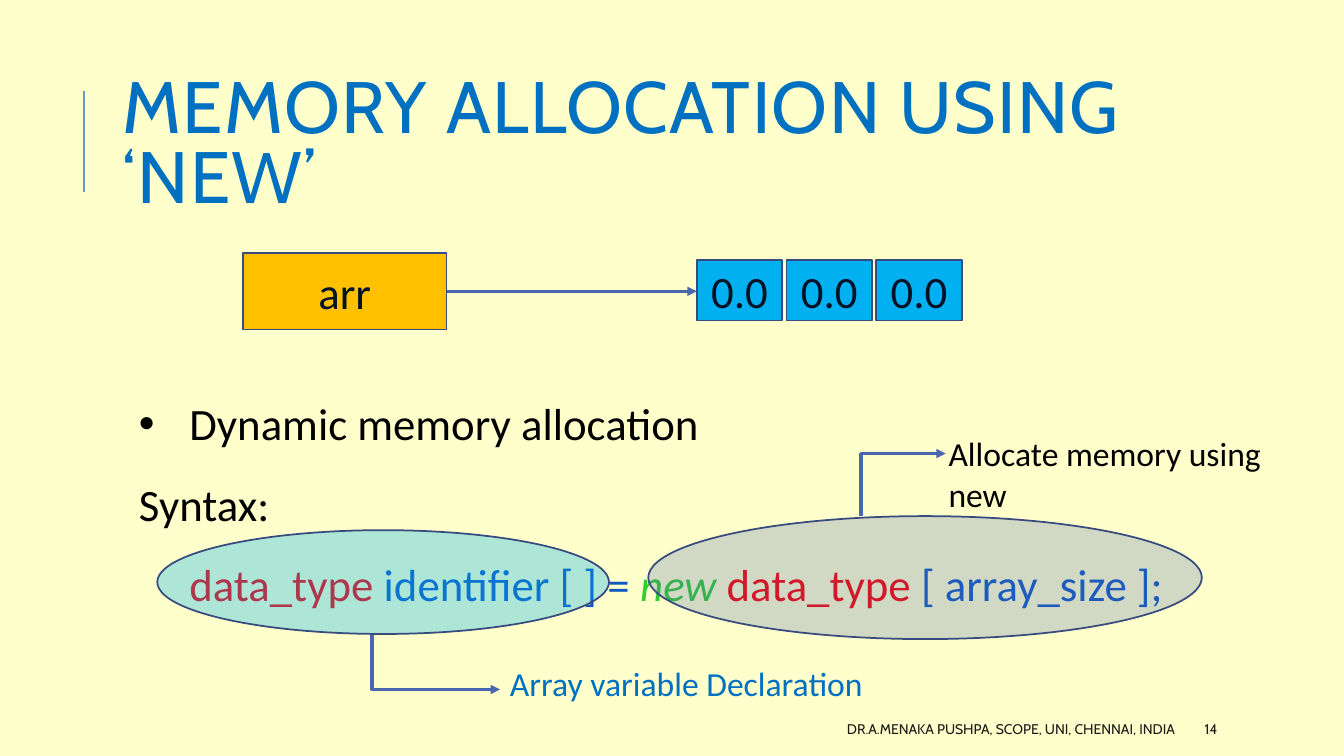
from lxml import etree
from pptx import Presentation
from pptx.dml.color import RGBColor
from pptx.enum.shapes import MSO_CONNECTOR, MSO_SHAPE
from pptx.enum.text import MSO_ANCHOR, PP_ALIGN
from pptx.oxml.ns import qn
from pptx.util import Inches, Pt

RECT, OVAL = MSO_SHAPE.RECTANGLE, MSO_SHAPE.OVAL
STRAIGHT, ELBOW = MSO_CONNECTOR.STRAIGHT, MSO_CONNECTOR.ELBOW
TOP, MIDDLE = MSO_ANCHOR.TOP, MSO_ANCHOR.MIDDLE
LEFT, CENTER, RIGHT = PP_ALIGN.LEFT, PP_ALIGN.CENTER, PP_ALIGN.RIGHT


def rgb(value):
    return RGBColor.from_string(value)


class SlideBuilder:
    heading_font, body_font = "Cabin", "Calibri"
    black, blue, code_blue = "000000", "0070C0", "0E58C4"
    red, green, footer_ink = "FF0000", "33CC33", "1A1A1A"
    amber, sky, indigo = "FFC000", "00B0F0", "4A66AC"
    outline, box_ink, rule = "374B7F", "031227", "629DD1"

    def __init__(self, prs, background):
        self.slide = prs.slides.add_slide(prs.slide_layouts[6])
        fill = self.slide.background.fill
        fill.solid()
        fill.fore_color.rgb = rgb(background)

    def style(self, run, size, color, font=None, italic=False):
        run.font.size = Pt(size)
        run.font.name = font or self.body_font
        run.font.color.rgb = rgb(color)
        run.font.italic = italic

    def text(self, box, content, size, color, font=None, align=LEFT, anchor=TOP):
        """Add a wrapped text box holding one paragraph and return its paragraph."""
        frame = self.slide.shapes.add_textbox(*map(Inches, box)).text_frame
        frame.word_wrap = True
        frame.vertical_anchor = anchor
        paragraph = frame.paragraphs[0]
        paragraph.text = content
        paragraph.alignment = align
        self.style(paragraph.runs[0], size, color, font)
        return paragraph

    def body(self, box, lines, size):
        """Add paragraphs given as (left margin, bullet, coloured pieces)."""
        frame = self.slide.shapes.add_textbox(*map(Inches, box)).text_frame
        frame.word_wrap = True
        for index, (margin, bullet, pieces) in enumerate(lines):
            paragraph = frame.add_paragraph() if index else frame.paragraphs[0]
            paragraph.line_spacing = 1.5
            props = paragraph._p.get_or_add_pPr()
            props.set("marL", str(Inches(margin)))
            if bullet:
                props.set("indent", str(-Inches(margin)))
                etree.SubElement(props, qn("a:buFont")).set("typeface", "Arial")
                etree.SubElement(props, qn("a:buChar")).set("char", bullet)
            for content, color, italic in pieces:
                run = paragraph.add_run()
                run.text = content
                self.style(run, size, color, italic=italic)

    def shape(self, kind, box, fill, label="", opacity=100):
        shape = self.slide.shapes.add_shape(kind, *map(Inches, box))
        shape.shadow.inherit = False
        shape.fill.solid()
        shape.fill.fore_color.rgb = rgb(fill)
        shape.line.color.rgb = rgb(self.outline)
        shape.line.width = Pt(1.25)
        if opacity < 100:
            color = shape._element.spPr.find(qn("a:solidFill"))[0]
            etree.SubElement(color, qn("a:alpha")).set("val", str(opacity * 1000))
        if label:
            frame = shape.text_frame
            frame.text = label
            frame.vertical_anchor = MIDDLE
            frame.paragraphs[0].alignment = CENTER
            self.style(frame.paragraphs[0].runs[0], 32, self.box_ink)
        return shape

    def line(self, start, end, color, width, kind=STRAIGHT, arrow=True):
        line = self.slide.shapes.add_connector(kind, *map(Inches, start + end))
        line.line.color.rgb = rgb(color)
        line.line.width = Pt(width)
        props = line._element.spPr
        if arrow:
            etree.SubElement(line.line._get_or_add_ln(), qn("a:tailEnd")).set("type", "triangle")
        if kind == ELBOW:
            # Bend at the start: vertical first, then horizontal
            geometry = props.find(qn("a:prstGeom"))
            adjustments = geometry.find(qn("a:avLst"))
            if adjustments is None:
                adjustments = etree.SubElement(geometry, qn("a:avLst"))
            guide = etree.SubElement(adjustments, qn("a:gd"))
            guide.set("name", "adj1")
            guide.set("fmla", "val 0")
        etree.SubElement(props, qn("a:effectLst"))
        return line


def main():
    prs = Presentation()
    prs.slide_width, prs.slide_height = Inches(13.33), Inches(7.5)
    page = SlideBuilder(prs, "FFFFCC")

    # Title with its rule
    page.line((0.83, 1.9), (0.83, 0.9), page.rule, 1.5, arrow=False)
    title = page.text((1.12, 0.64, 10.63, 1.64), "MEMORY ALLOCATION USING ‘NEW’",
                      52, page.blue, page.heading_font, anchor=MIDDLE)
    title.line_spacing = 0.8
    title.runs[0]._r.get_or_add_rPr().set("spc", "100")

    # Pointer and the array cells it refers to
    diagram = [page.shape(RECT, (2.41, 2.51, 2.02, 0.76), page.amber, "arr")]
    for cell in range(3):
        diagram.append(page.shape(RECT, (6.91 + 0.89 * cell, 2.58, 0.85, 0.6), page.sky, "0.0"))
    diagram.append(page.line((4.43, 2.89), (6.91, 2.89), page.indigo, 2.25))
    page.slide.shapes.add_group_shape(diagram)

    # Syntax text
    page.body((1.28, 3.61, 11.02, 2.44), [
        (0.5, "•", [("Dynamic memory allocation", page.black, False)]),
        (0, None, [("Syntax:", page.black, False)]),
        (0.5, None, [
            ("data_type ", page.red, False),
            ("identifier [ ] = ", page.code_blue, False),
            ("new ", page.green, True),
            ("data_type ", page.red, False),
            ("[ array_size ];", page.code_blue, False),
        ]),
    ], 32)

    # Highlights and their callouts
    page.shape(OVAL, (1.56, 5.26, 4.48, 1.03), page.sky, opacity=32)
    page.shape(OVAL, (6.43, 5.12, 5.49, 1.22), page.indigo, opacity=25)
    page.line((3.69, 6.3), (4.96, 6.84), page.indigo, 2.25, ELBOW)
    page.text((4.96, 6.53, 4.07, 0.5), "Array variable Declaration", 24, page.blue)
    page.line((8.54, 5.12), (9.38, 4.5), page.indigo, 2.25, ELBOW)
    page.text((9.31, 4.25, 3.86, 0.5), "Allocate memory using new", 24, page.black)

    # Footer and slide number
    for box, content, align in [
        ((5.3, 7.08, 6.45, 0.3), "DR.A.MENAKA PUSHPA, SCOPE, UNI, CHENNAI, INDIA", RIGHT),
        ((11.85, 7.08, 1.06, 0.3), "14", LEFT),
    ]:
        page.text(box, content, 10, page.footer_ink, page.heading_font, align, MIDDLE)

    prs.save("out.pptx")


if __name__ == "__main__":
    main()
